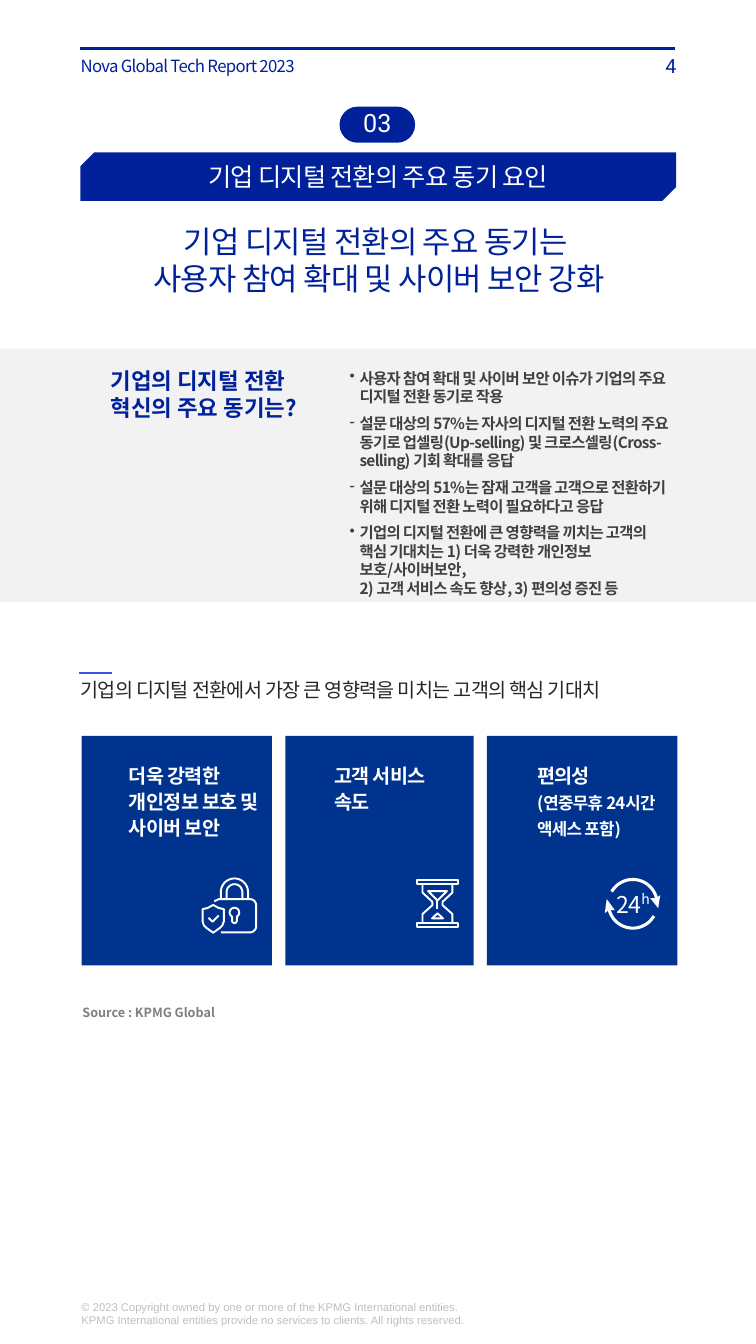
from copy import deepcopy
from math import cos, radians, sin

from lxml.etree import SubElement
from pptx import Presentation
from pptx.dml.color import RGBColor
from pptx.enum.shapes import MSO_CONNECTOR, MSO_SHAPE
from pptx.enum.text import MSO_ANCHOR, PP_ALIGN
from pptx.oxml.ns import qn
from pptx.util import Pt

KOREAN = "Noto Sans CJK KR"
NAVY, CARD_BLUE, WHITE = "01219A", "00338D", "FFFFFF"
color = RGBColor.from_string


def write(shape, paragraphs, ink, size, name=KOREAN, bold=False, tracking=0,
          layout={}, frame={}, bullets="", indent=0):
    text_frame = shape.text_frame
    for key, value in {"word_wrap": True, **frame}.items():
        setattr(text_frame, key, value)
    for index, text in enumerate(paragraphs):
        paragraph = text_frame.add_paragraph() if index else text_frame.paragraphs[0]
        paragraph.text = text
        properties = paragraph._p.get_or_add_pPr()
        if indent:
            properties.set("marL", str(Pt(indent)))
        if bullets:
            properties.set("indent", str(-Pt(indent)))
            SubElement(properties, qn("a:buChar"), char=bullets[index])
        for key, value in layout.items():
            if key != "space_before" or index:
                setattr(paragraph, key, value)
        for run in paragraph.runs:
            for key, value in {"name": name, "size": Pt(size), "bold": bold}.items():
                setattr(run.font, key, value)
            run.font.color.rgb = color(ink)
            run_properties = run._r.get_or_add_rPr()
            run_properties.set("spc", str(int(tracking * 100)))
            SubElement(run_properties, qn("a:ea"), typeface=name)
        for line_break in paragraph._p.findall(qn("a:br")):
            line_break.insert(0, deepcopy(run_properties))


def arc(x, y, radius, start, end):
    angles = [radians(start + (end - start) * step / 24) for step in range(25)]
    return [(x + radius * cos(a), y + radius * sin(a)) for a in angles]


presentation = Presentation()
presentation.slide_width, presentation.slide_height = Pt(540), Pt(960)
shapes = presentation.slides.add_slide(presentation.slide_layouts[6]).shapes

# Filled areas: band, banner, number pill, cards
card_lefts = [(58.3, 136), (203.8, 134.6), (347.8, 136)]
areas = [
    (MSO_SHAPE.RECTANGLE, (0, 249, 540, 181), "F2F2F2", []),
    (MSO_SHAPE.SNIP_2_DIAG_RECTANGLE, (57.5, 108.8, 425.5, 34.7), NAVY, [0.287, 0]),
    (MSO_SHAPE.ROUNDED_RECTANGLE, (242.5, 76.2, 54, 25.8), NAVY, [0.5]),
] + [(MSO_SHAPE.RECTANGLE, (left, 525.6, width, 164), CARD_BLUE, [])
     for left, width in card_lefts]
drawn = []
for kind, box, fill, adjustments in areas:
    area = shapes.add_shape(kind, *map(Pt, box))
    area.shadow.inherit = False
    area.fill.solid()
    area.fill.fore_color.rgb = color(fill)
    area.line.fill.background()
    for index, value in enumerate(adjustments):
        area.adjustments[index] = value
    drawn.append(area)
band, banner, pill = drawn[:3]

centred = {"alignment": PP_ALIGN.CENTER}
middle = {"vertical_anchor": MSO_ANCHOR.MIDDLE}
flush = {**middle, "margin_left": 0, "margin_right": 0, "margin_top": 0, "margin_bottom": 0}
write(banner, ["기업 디지털 전환의 주요 동기 요인"], WHITE, 18, tracking=-0.5,
      layout=centred, frame=middle)
write(pill, ["03"], WHITE, 18, name="Roboto", layout=centred,
      frame={**middle, "margin_top": 0, "margin_bottom": Pt(2.9)})

# Header rule and section accent
for left, right, y, ink, weight in [(57.5, 482.5, 34.5, NAVY, 2.25),
                                    (56.4, 80, 481, "3B50DF", 1.5)]:
    rule = shapes.add_connector(MSO_CONNECTOR.STRAIGHT, Pt(left), Pt(y), Pt(right), Pt(y))
    rule.line.color.rgb = color(ink)
    rule.line.width = Pt(weight)
    SubElement(rule._element.spPr, qn("a:effectLst"))

# Texts
card_text = dict(ink=WHITE, size=14, bold=True, tracking=-0.5, indent=28.8,
                 layout={"line_spacing": Pt(18.6)})
texts = [
    ((368.6, 41, 121.7, 12.2), ["4"],
     dict(ink=NAVY, size=14, name="Roboto", frame=middle,
          layout={"alignment": PP_ALIGN.RIGHT})),
    ((50.5, 38.2, 432, 40), ["Nova Global Tech Report 2023"],
     dict(ink=NAVY, size=12, tracking=-0.5, layout={"line_spacing": 0.9})),
    ((41, 155.5, 459.4, 60.5),
     ["기업 디지털 전환의 주요 동기는 \n사용자 참여 확대 및 사이버 보안 강화"],
     dict(ink=NAVY, size=22, tracking=-0.5, layout=centred)),
    ((72, 258.5, 173.5, 46), ["기업의 디지털 전환 혁신의 주요 동기는?"],
     dict(ink=NAVY, size=16, bold=True)),
    ((242.6, 260, 247, 158.4),
     ["사용자 참여 확대 및 사이버 보안 이슈가 기업의 주요 디지털 전환 동기로 작용",
      "설문 대상의 57%는 자사의 디지털 전환 노력의 주요 동기로 업셀링(Up-selling) 및 "
      "크로스셀링(Cross-selling) 기회 확대를 응답",
      "설문 대상의 51%는 잠재 고객을 고객으로 전환하기 위해 디지털 전환 노력이 필요하다고 응답",
      "기업의 디지털 전환에 큰 영향력을 끼치는 고객의 핵심 기대치는 1) 더욱 강력한 개인정보 "
      "보호/사이버보안, \n2) 고객 서비스 속도 향상, 3) 편의성 증진 등"],
     dict(ink="404040", size=11, bold=True, tracking=-0.5, bullets="•--•", indent=7.2,
          layout={"space_before": Pt(6)})),
    ((50.4, 481, 452, 24.5), ["기업의 디지털 전환에서 가장 큰 영향력을 미치는 고객의 핵심 기대치"],
     dict(ink="262626", size=14, tracking=-0.5)),
    ((56.2, 540, 136, 64), ["더욱 강력한", "개인정보 보호 및\n사이버 보안"], card_text),
    ((203, 540, 136, 45), ["고객 서비스", "속도"], card_text),
    ((347.8, 540, 136, 26), ["편의성"], card_text),
    ((347.8, 558.6, 136, 45), ["(연중무휴 24시간 액세스 포함)"], {**card_text, "size": 12}),
    ((51.8, 714.2, 430.6, 18), ["Source : KPMG Global"],
     dict(ink="808080", size=9, bold=True)),
    ((51.1, 925.2, 330, 26.6),
     ["© 2023 Copyright owned by one or more of the KPMG International entities.",
      "KPMG International entities provide no services to clients. All rights reserved."],
     dict(ink="BFBFBF", size=8, name="Arial")),
    ((437.3, 636.2, 24, 20), ["24"],
     dict(ink=WHITE, size=16.5, layout=centred, frame=flush)),
    ((456.2, 634, 10, 16), ["h"], dict(ink=WHITE, size=10, layout=centred, frame=flush)),
]
for box, paragraphs, style in texts:
    write(shapes.add_textbox(*map(Pt, box)), paragraphs, **style)

# Icons: (points, closed, filled, line width)
lock_x, shield_x, glass_x = 167.5, 152.3, 312.5
shield_half = [(0, 646.4), (4, 648.6), (7.6, 649.4), (7.6, 658.1), (6.6, 661), (4.8, 662.8)]
glass_half = [(10.7, 631.5), (10.7, 637.6), (3.6, 644.2), (3.6, 646.6), (10.7, 652.9), (10.7, 659.5)]
outlines = [
    # Padlock with shield
    ([(157.7, 666)] + arc(178.6, 661.7, 4.3, 90, 0) + arc(178.6, 646.6, 4.3, 0, -90)
     + [(156.3, 642.3), (153, 643.8)], False, False, 1.4),
    (arc(lock_x, 651.8, 3.4, 120, 420) + arc(lock_x, 657.6, 1.7, 0, 180), True, False, 1.4),
    ([(shield_x + x, y) for x, y in shield_half] + [(shield_x, 666.2)]
     + [(shield_x - x, y) for x, y in shield_half[:0:-1]], True, False, 1.4),
    ([(148.9, 655.6), (151.9, 658.4), (156.2, 653.9)], False, False, 1.4),
    # Hourglass sand
    ([(glass_x - 6.7, 636.5), (glass_x + 6.7, 636.5), (glass_x, 643.3)], True, False, 1.4),
    ([(glass_x, 643.3), (glass_x, 649.4)], False, False, 1.4),
    ([(glass_x - 3.9, 656), (glass_x + 3.9, 656), (glass_x, 652.3)], True, False, 1.4),
    # Round-the-clock arrows
    (arc(452, 645.6, 17.4, -150, 0), False, False, 2.2),
    (arc(452, 645.6, 17.4, 180, 30), False, False, 2.2),
    ([(433.4, 642.2), (432, 652.3), (434.9, 650.2), (439.2, 650.2)], True, True, 0),
    ([(470.2, 648.7), (471.6, 639.4), (468.7, 641.5), (464.4, 641.5)], True, True, 0),
]
for radius in (9.7, 5.6):  # padlock shackle
    outlines.append(([(lock_x - radius, 642.3)] + arc(lock_x, 637.2, radius, 180, 360)
                     + [(lock_x + radius, 642.3)], False, False, 1.4))
for side in (-1, 1):  # hourglass walls
    outlines.append(([(glass_x + side * x, y) for x, y in glass_half], False, False, 1.4))
for top in (628.6, 659.6):  # hourglass caps
    outlines.append(([(glass_x + x, top + y) for x, y in
                      [(-14.4, 0), (14.4, 0), (14.4, 2.8), (-14.4, 2.8)]], True, False, 1.4))

for points, closed, filled, weight in outlines:
    start, *rest = [(Pt(x), Pt(y)) for x, y in points]
    builder = shapes.build_freeform(*start)
    builder.add_line_segments(rest, close=closed)
    stroke = builder.convert_to_shape()
    stroke.shadow.inherit = False
    if filled:
        stroke.fill.solid()
        stroke.fill.fore_color.rgb = color(WHITE)
        stroke.line.fill.background()
    else:
        stroke.fill.background()
        stroke.line.color.rgb = color(WHITE)
        stroke.line.width = Pt(weight)

presentation.save("out.pptx")
